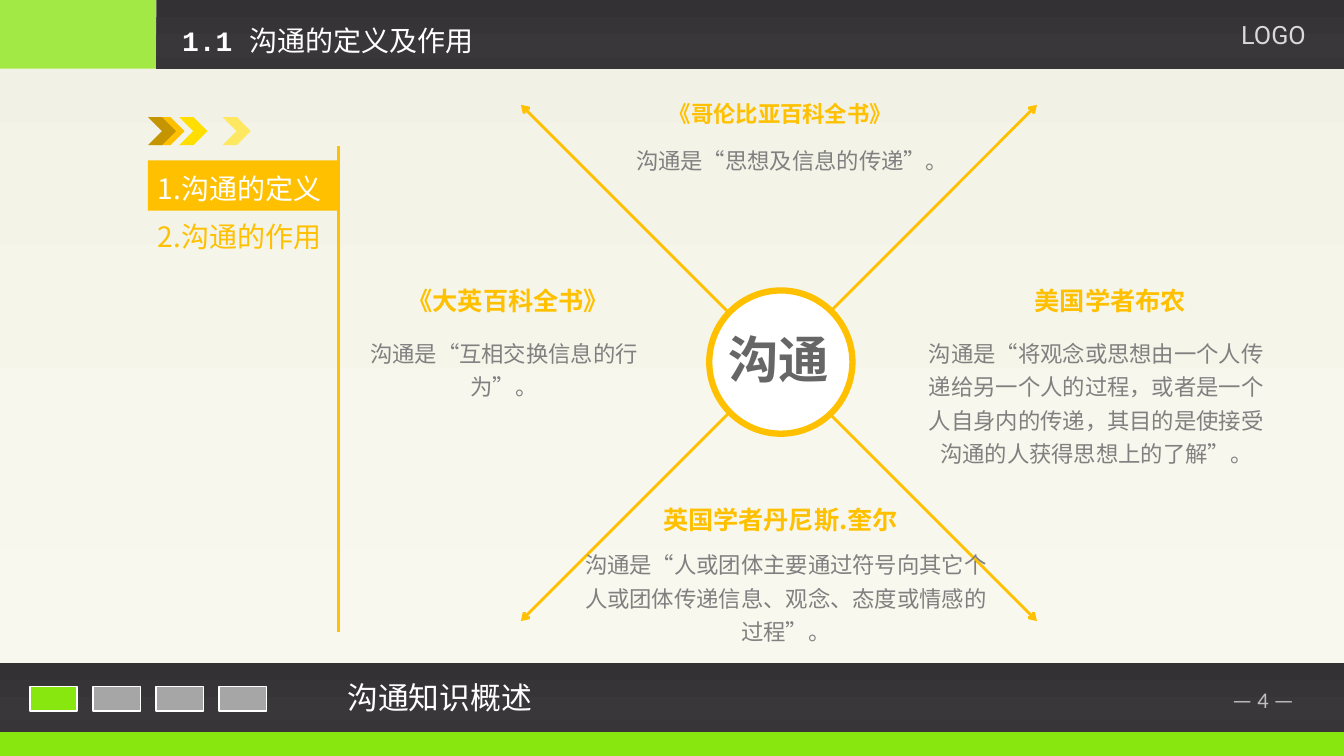
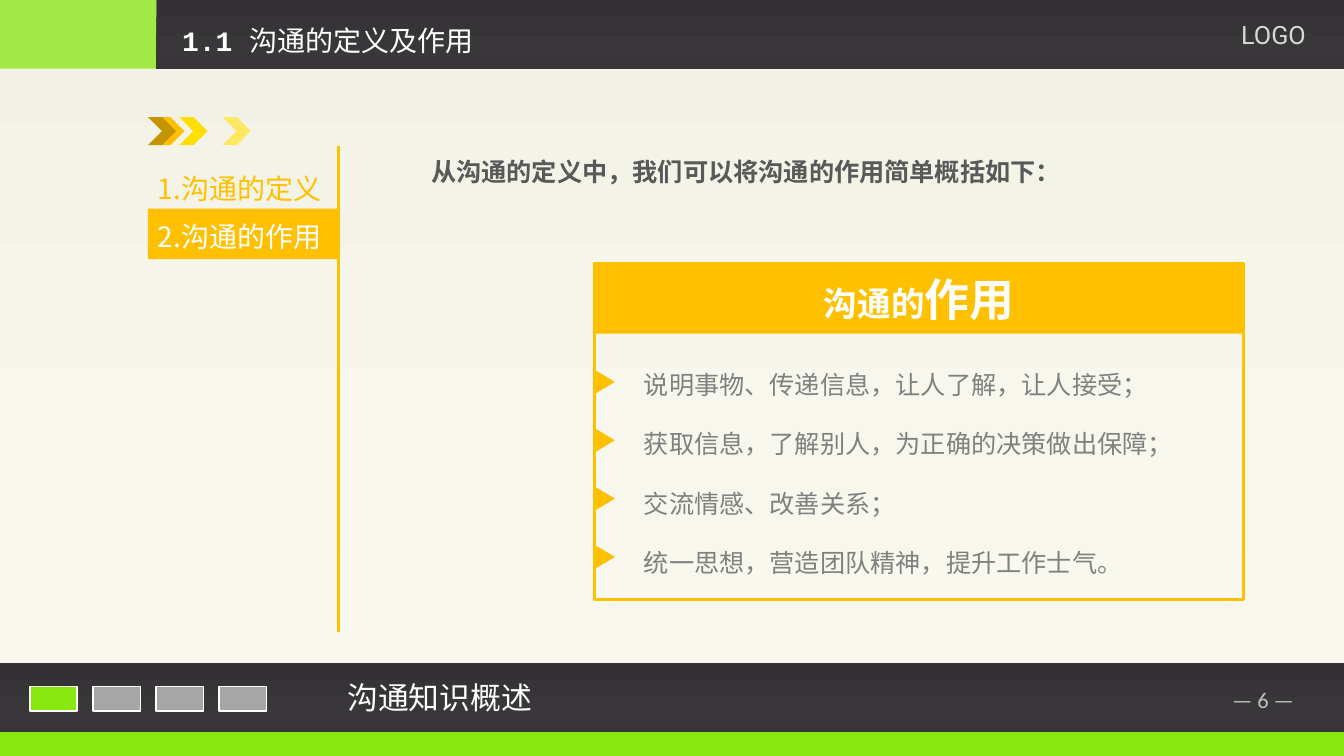
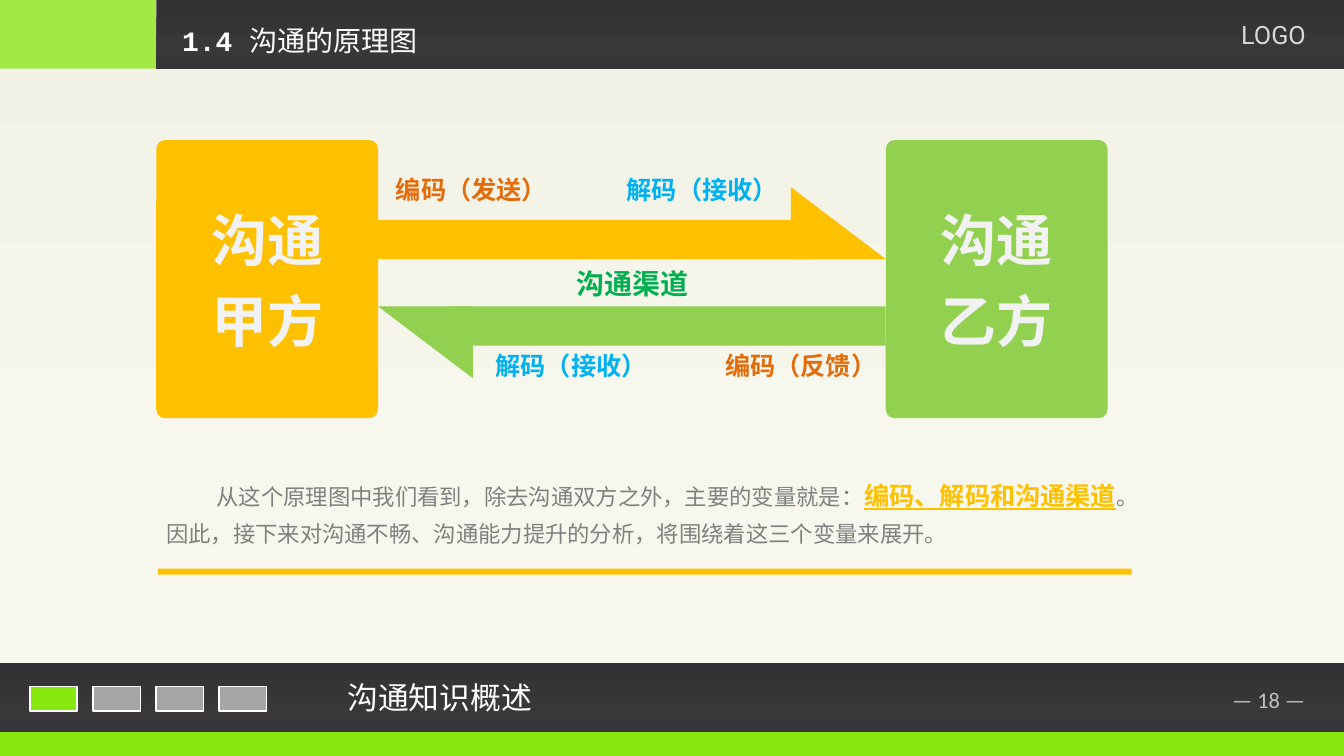
from dataclasses import dataclass

from lxml import etree
from pptx import Presentation
from pptx.dml.color import RGBColor
from pptx.enum.lang import MSO_LANGUAGE_ID
from pptx.enum.shapes import MSO_CONNECTOR, MSO_SHAPE
from pptx.enum.text import MSO_ANCHOR, MSO_AUTO_SIZE, PP_ALIGN
from pptx.oxml.ns import qn
from pptx.util import Cm, Pt

RECT = MSO_SHAPE.RECTANGLE
ROUND = MSO_SHAPE.ROUNDED_RECTANGLE
OVAL = MSO_SHAPE.OVAL
CHEVRON = MSO_SHAPE.CHEVRON
PEAK = MSO_SHAPE.ISOSCELES_TRIANGLE
WEDGE = MSO_SHAPE.RIGHT_TRIANGLE
STRAIGHT = MSO_CONNECTOR.STRAIGHT
LEFT, CENTER, RIGHT = PP_ALIGN.LEFT, PP_ALIGN.CENTER, PP_ALIGN.RIGHT
TOP, MIDDLE = MSO_ANCHOR.TOP, MSO_ANCHOR.MIDDLE
CHINESE = MSO_LANGUAGE_ID.SIMPLIFIED_CHINESE
SANS = "Noto Sans CJK SC"
SERIF = "Times New Roman"

COLORS = {
    "gold": "FFC000", "amber": "C49500", "pale": "FFE861", "yellow": "FFDE00",
    "lime": "88E70F", "leaf": "92D050", "green": "00B050", "blue": "00B0F0",
    "orange": "E36C0A", "white": "FFFFFF", "snow": "F2F2F2", "mist": "D9D9D9",
    "silver": "BFBFBF", "ash": "A6A6A6", "gray": "808080", "slate": "666666",
    "coal": "595959",
}
CREAM = {0: "F1F1E5", 74: "F7F7ED", 83: "F8F8EE", 100: "F9F9EF"}
DARK = {0: "333134", 74: "39373A", 83: "373538", 100: "363436"}
MENU = ("1.沟通的定义", "2.沟通的作用")


@dataclass(frozen=True)
class Box:
    x: float
    y: float
    w: float
    h: float


@dataclass(frozen=True)
class Word:
    text: str
    size: float
    color: str
    bold: bool = False
    font: str = SANS
    under: bool = False


@dataclass(frozen=True)
class Line:
    words: tuple[Word, ...]
    align: PP_ALIGN = LEFT
    lead: float = 1.0
    before: float = 0
    after: float = 0
    indent: float = 0


@dataclass(frozen=True)
class Quote:
    head: str
    size: float
    top: Box
    text: str
    lead: float
    body: Box


@dataclass(frozen=True)
class Label:
    text: str
    size: float
    color: str
    align: PP_ALIGN
    box: Box


@dataclass(frozen=True)
class Party:
    text: tuple[str, str]
    color: str
    card: Box
    bar: Box
    tip: Box
    turn: float


QUOTES = (
    Quote("《哥伦比亚百科全书》", 16, Box(15.88, 2.39, 7.59, 0.94),
          "沟通是“思想及信息的传递”。", 1, Box(15.21, 3.58, 9.53, 0.94)),
    Quote("美国学者布农", 18, Box(23.01, 7.06, 9.96, 1.02),
          "沟通是“将观念或思想由一个人传递给另一个人的过程，或者是一个人自身内的传递，"
          "其目的是使接受沟通的人获得思想上的了解”。", 1.25, Box(22.94, 8.26, 9.4, 3.68)),
    Quote("《大英百科全书》", 18, Box(8.74, 7.06, 8.15, 1.02),
          "沟通是“互相交换信息的行为”。", 1.25, Box(8.53, 8.26, 8.36, 1.96)),
    Quote("英国学者丹尼斯.奎尔", 18, Box(15.88, 12.57, 7.59, 1.02),
          "沟通是“人或团体主要通过符号向其它个人或团体传递信息、观念、态度或情感的过程”。",
          1.25, Box(14.48, 13.59, 10.67, 2.74)),
)
ROLES = (
    "说明事物、传递信息，让人了解，让人接受；",
    "获取信息，了解别人，为正确的决策做出保障；",
    "交流情感、改善关系；",
    "统一思想，营造团队精神，提升工作士气。",
)
PARTIES = (
    Party(("沟通", "甲方"), "gold", Box(3.94, 3.53, 5.59, 7.01),
          Box(9.53, 5.54, 11, 0.99), Box(19.94, 4.72, 2.39, 1.81), 0),
    Party(("沟通", "乙方"), "leaf", Box(22.33, 3.53, 5.59, 7.01),
          Box(11.33, 7.72, 11, 0.99), Box(9.53, 7.72, 2.39, 1.81), 180),
)
LABELS = (
    Label("编码（发送）", 18, "orange", LEFT, Box(9.93, 4.39, 4.39, 0.89)),
    Label("解码（接收）", 18, "blue", LEFT, Box(15.75, 4.39, 4.19, 0.89)),
    Label("解码（接收）", 18, "blue", RIGHT, Box(12.14, 8.84, 4.19, 0.89)),
    Label("编码（反馈）", 18, "orange", RIGHT, Box(17.73, 8.84, 4.39, 0.89)),
    Label("沟通渠道", 20, "green", CENTER, Box(9.53, 6.55, 12.8, 1.17)),
)


def tint(name: str) -> RGBColor:
    return RGBColor.from_string(COLORS[name])


def area(box: Box) -> tuple[int, ...]:
    return tuple(Cm(side) for side in (box.x, box.y, box.w, box.h))


def style(run, word: Word) -> None:
    font = run.font
    font.size, font.bold, font.underline = Pt(word.size), word.bold, word.under
    font.color.rgb = tint(word.color)
    font.name, font.language_id = word.font, CHINESE
    etree.SubElement(run._r.get_or_add_rPr(), qn("a:ea"), typeface=SANS)


def write(shape, lines: list[Line], anchor=TOP,
          inset: tuple[float, ...] = (0.25, 0.13, 0.25, 0.13)) -> None:
    frame = shape.text_frame
    frame.text = "\n".join(line.words[0].text for line in lines)
    frame.word_wrap, frame.auto_size = True, MSO_AUTO_SIZE.NONE
    frame.vertical_anchor = anchor
    frame.margin_left, frame.margin_top, frame.margin_right, frame.margin_bottom = map(Cm, inset)
    for rank, (para, line) in enumerate(zip(frame.paragraphs, lines)):
        props = para._p.get_or_add_pPr()
        props.set("marL", "0")
        props.set("indent", str(Cm(line.indent)))
        etree.SubElement(props, qn("a:buNone"))
        para.alignment = line.align
        para.line_spacing = Pt(1.2 * line.lead * max(word.size for word in line.words))
        para.space_before = Pt(line.before if rank else 0)
        para.space_after = Pt(line.after)
        for word in line.words[1:]:
            para.add_run().text = word.text
        for run, word in zip(para.runs, line.words):
            style(run, word)


def label(slide, box: Box, lines: list[Line], **rest):
    shape = slide.shapes.add_textbox(*area(box))
    write(shape, lines, **rest)
    return shape


def place(slide, holder, box: Box, lines: list[Line]) -> None:
    holder.left, holder.top, holder.width, holder.height = area(box)
    write(holder, lines)
    slide.shapes.element.append(holder.element)


def draw(slide, kind, box: Box, fill: str = "", edge: str = "", width: float = 1):
    shape = slide.shapes.add_shape(kind, *area(box))
    shape.shadow.inherit = False
    if fill:
        shape.fill.solid()
        shape.fill.fore_color.rgb = tint(fill)
    else:
        shape.fill.background()
    if edge:
        shape.line.color.rgb = tint(edge)
        shape.line.width = Pt(width)
    else:
        shape.line.fill.background()
    return shape


def fade(slide, box: Box, stops: dict[int, str]):
    shape = draw(slide, RECT, box)
    shape.fill.gradient()
    shape.fill.gradient_angle = 270
    ramp = shape.element.find(".//" + qn("a:gsLst"))
    for stop in list(ramp):
        ramp.remove(stop)
    for spot, color in stops.items():
        stop = etree.SubElement(ramp, qn("a:gs"), pos=str(spot * 1000))
        etree.SubElement(stop, qn("a:srgbClr"), val=color)
    return shape


def join(slide, start: tuple[float, float], end: tuple[float, float],
         width: float, arrows: bool = False) -> None:
    wire = slide.shapes.add_connector(STRAIGHT, *map(Cm, start + end))
    wire.line.color.rgb = tint("gold")
    wire.line.width = Pt(width)
    if arrows:
        for end_tag in ("a:headEnd", "a:tailEnd"):
            etree.SubElement(wire.line._get_or_add_ln(), qn(end_tag), type="arrow")
    etree.SubElement(wire.element.spPr, qn("a:effectLst"))


def brand(deck, slide) -> None:
    marks = [
        fade(slide, Box(0, 0, 33.88, 16.71), CREAM),
        draw(slide, RECT, Box(0, 18.44, 33.88, 0.61), "lime"),
        fade(slide, Box(0, 16.71, 33.88, 1.73), DARK),
    ]
    corner = draw(slide, RECT, Box(0, 0, 3.94, 1.73), "lime")
    color = corner.element.find(".//" + qn("a:srgbClr"))
    etree.SubElement(color, qn("a:alpha"), val="74000")
    marks += [corner, fade(slide, Box(3.94, 0, 29.94, 1.73), DARK)]
    for step in range(4):
        marks.append(draw(slide, RECT, Box(0.76 + 1.59 * step, 17.3, 1.19, 0.61),
                          "ash" if step else "lime", "white", 1.2))
    marks += [
        label(slide, Box(31.04, 0.36, 2.49, 1.02),
              [Line((Word("LOGO", 18, "mist", font="Roboto"),))]),
        label(slide, Box(8.51, 16.97, 10.85, 1.19),
              [Line((Word("沟通知识概述", 22, "white"),))]),
    ]
    for rank, mark in enumerate(marks, 100):
        mark.element.find(".//" + qn("p:cNvPr")).set("id", str(rank))
        deck.slide_master.shapes.element.append(mark.element)


def start(deck, layout: int, part: str, title: str, page: int):
    slide = deck.slides.add_slide(deck.slide_layouts[layout])
    if len(deck.slides) == 1:
        brand(deck, slide)
    place(slide, slide.shapes.title, Box(4.34, 0.46, 9.8, 1.12), [Line((
        Word(part + " ", 20, "white", True, "Courier New"), Word(title, 20, "white")))])
    label(slide, Box(30.81, 17.17, 2.72, 0.94),
          [Line((Word(f"— {page} —", 16, "silver", font="Calibri"),))])
    return slide


def menu(slide, pick: int) -> None:
    draw(slide, RECT, Box(3.73, 4.04 + 1.22 * pick, 4.8, 1.27), "gold")
    join(slide, (8.53, 3.68), (8.53, 15.93), 2.25)
    place(slide, slide.placeholders[1], Box(3.73, 4.01, 4.8, 2.51), [
        Line((Word(text, 20, "white" if rank == pick else "gold"),), lead=1.2, before=6)
        for rank, text in enumerate(MENU)])
    for left, color in ((3.94, "gold"), (3.73, "amber"), (5.61, "pale"), (4.52, "yellow")):
        draw(slide, CHEVRON, Box(left, 2.95, 0.71, 0.71), color)


def define(deck) -> None:
    slide = start(deck, 1, "1.1", "沟通的定义及作用", 4)
    menu(slide, 0)
    join(slide, (26.14, 2.64), (13.13, 15.65), 2, True)
    join(slide, (13.13, 2.64), (26.14, 15.65), 2, True)
    draw(slide, OVAL, Box(17.88, 7.32, 3.61, 3.61), "white", "gold", 4.5)
    for quote in QUOTES:
        label(slide, quote.body, [Line((Word(quote.text, 16, "gray"),), CENTER, quote.lead)])
        label(slide, quote.top, [Line((Word(quote.head, quote.size, "gold", True),), CENTER)])
    label(slide, Box(18.11, 8.13, 3.05, 1.8),
          [Line((Word("沟通", 36, "slate", True),), CENTER)])


def explain(deck) -> None:
    slide = start(deck, 3, "1.1", "沟通的定义及作用", 6)
    label(slide, Box(9.35, 3.53, 23.55, 1.19), [Line(
        (Word("从沟通的定义中，我们可以将沟通的作用简单概括如下：", 18, "coal", True),),
        lead=1.35, indent=1.27)])
    place(slide, slide.placeholders[2], Box(15.98, 8.79, 15.34, 5.82), [
        Line((Word(role, 18, "gray"),), lead=1.5, before=6, after=4) for role in ROLES])
    bar = draw(slide, RECT, Box(14.99, 6.63, 16.36, 1.78), "gold")
    write(bar, [Line((Word("沟通的", 24, "white", True), Word("作用", 32, "white", True)),
                     CENTER)], MIDDLE)
    draw(slide, RECT, Box(14.99, 6.63, 16.36, 8.48), edge="gold", width=2)
    for row in range(len(ROLES)):
        draw(slide, PEAK, Box(14.94, 9.37 + 1.47 * row, 0.61, 0.51), "gold").rotation = 90
    menu(slide, 1)


def relate(deck) -> None:
    slide = start(deck, 5, "1.4", "沟通的原理图", 18)
    for party in PARTIES:
        card = draw(slide, ROUND, party.card, party.color)
        card.adjustments[0] = 0.04
        write(card, [Line((Word(text, 40, "snow", True),), CENTER, 1.2)
                     for text in party.text], inset=(0.25, 1.25, 0.25, 0.13))
        draw(slide, RECT, party.bar, party.color)
        draw(slide, WEDGE, party.tip, party.color).rotation = party.turn
    label(slide, Box(3.94, 11.79, 24.61, 2.21), [Line((
        Word("从这个原理图中我们看到，除去沟通双方之外，主要的变量就是：", 16, "gray"),
        Word("编码、解码和沟通渠道", 18, "gold", True, under=True),
        Word("。因此，接下来对沟通不畅、沟通能力提升的分析，将围绕着这三个变量来展开。",
             16, "gray")), lead=1.23, indent=1.27)])
    for tag in LABELS:
        label(slide, tag.box,
              [Line((Word(tag.text, tag.size, tag.color, True, SERIF),), tag.align)],
              anchor=MIDDLE if tag.align == CENTER else TOP, inset=(0.05, 0, 0.03, 0))
    draw(slide, RECT, Box(3.99, 14.33, 24.54, 0.15), "gold")


def main() -> None:
    deck = Presentation()
    deck.slide_width, deck.slide_height = Cm(33.88), Cm(19.05)
    define(deck)
    explain(deck)
    relate(deck)
    deck.save("out.pptx")


if __name__ == "__main__":
    main()
